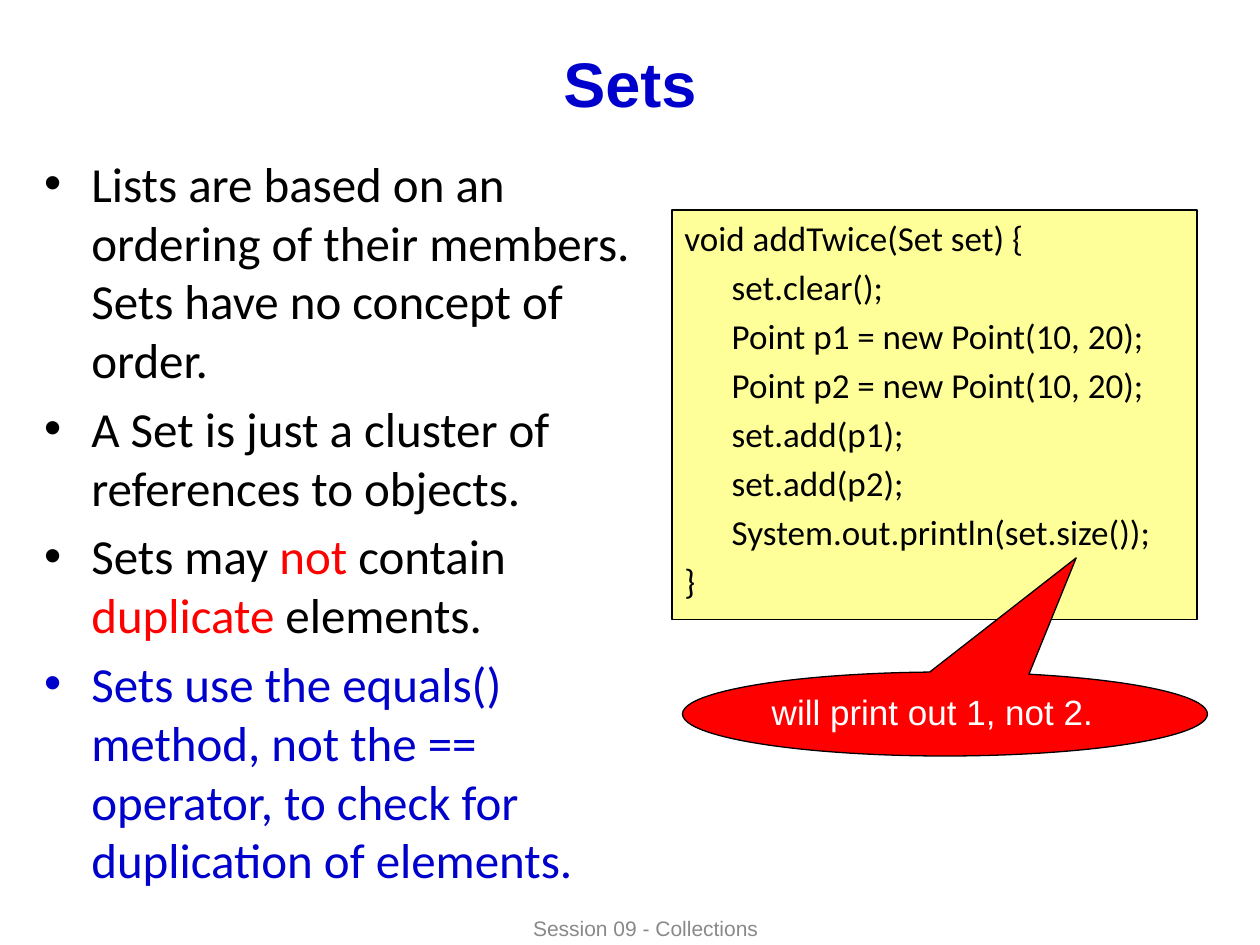
from dataclasses import dataclass

from lxml.etree import SubElement
from pptx import Presentation
from pptx.dml.color import RGBColor
from pptx.enum.shapes import MSO_SHAPE as Preset
from pptx.enum.text import MSO_ANCHOR as Anchor, MSO_AUTO_SIZE as AutoSize, PP_ALIGN as Align
from pptx.oxml.ns import qn
from pptx.util import Pt

BLACK, BLUE, RED, WHITE = "000000", "0000CC", "FF0000", "FFFFFF"
YELLOW, GREY = "FFFF99", "898989"
HANGING = 27


@dataclass(frozen=True)
class Span:
    text: str
    color: str = BLACK


@dataclass(frozen=True)
class Style:
    font: str
    size: float
    bold: bool = False
    align: Align = Align.LEFT
    anchor: Anchor = Anchor.TOP
    space_before: float = 0
    hanging: float = 0
    bullet: str = ""


@dataclass(frozen=True)
class Panel:
    preset: Preset
    box: tuple[float, float, float, float]
    fill: str
    paragraphs: list[list[Span]]
    style: Style
    adjustments: tuple[float, ...] = ()


def rgb(color: str) -> RGBColor:
    return RGBColor.from_string(color)


def place(shape, left: float, top: float, width: float, height: float) -> None:
    shape.left, shape.top, shape.width, shape.height = map(Pt, (left, top, width, height))


def write(shape, paragraphs: list[list[Span]], style: Style) -> None:
    frame = shape.text_frame
    frame.word_wrap = True
    frame.auto_size = AutoSize.NONE
    frame.vertical_anchor = style.anchor
    for index, spans in enumerate(paragraphs):
        paragraph = frame.add_paragraph() if index else frame.paragraphs[0]
        paragraph.alignment = style.align
        paragraph.space_before = Pt(style.space_before)
        # Hanging indent and bullet
        properties = paragraph._p.get_or_add_pPr()
        properties.set("marL", str(Pt(style.hanging)))
        properties.set("indent", str(-Pt(style.hanging)))
        if style.bullet:
            SubElement(properties, qn("a:buFont"), typeface="Arial")
            SubElement(properties, qn("a:buChar"), char=style.bullet)
        else:
            SubElement(properties, qn("a:buNone"))
        for span in spans:
            run = paragraph.add_run()
            run.text = span.text
            run.font.name, run.font.size = style.font, Pt(style.size)
            run.font.bold = style.bold
            run.font.color.rgb = rgb(span.color)


def draw_panel(slide, panel: Panel) -> None:
    shape = slide.shapes.add_shape(panel.preset, *map(Pt, panel.box))
    for index, value in enumerate(panel.adjustments):
        shape.adjustments[index] = value
    shape.shadow.inherit = False
    shape.fill.solid()
    shape.fill.fore_color.rgb = rgb(panel.fill)
    shape.line.color.rgb = rgb(BLACK)
    shape.line.width = Pt(0.75)
    write(shape, panel.paragraphs, panel.style)


deck = Presentation()
deck.slide_width, deck.slide_height = Pt(720), Pt(540)
slide = deck.slides.add_slide(deck.slide_layouts[1])

# Footer
footer = slide.shapes.add_textbox(Pt(192), Pt(520.5), Pt(354), Pt(19.5))
write(footer, [[Span("Session 09 - Collections", GREY)]],
      Style("Arial", 12, align=Align.CENTER, anchor=Anchor.MIDDLE))

# Title
title = slide.shapes.title
place(title, 36, 21.6, 648, 50.4)
write(title, [[Span("Sets", BLUE)]],
      Style("Arial", 36, bold=True, align=Align.CENTER, anchor=Anchor.MIDDLE))

# Properties of sets
points = [
    [Span("Lists are based on an ordering of their members. Sets have no concept of order.")],
    [Span("A Set is just a cluster of references to objects.")],
    [Span("Sets may "), Span("not", RED), Span(" contain "),
     Span("duplicate", RED), Span(" elements.")],
    [Span("Sets use the equals() method, not the == operator, "
          "to check for duplication of elements.", BLUE)],
]
body = slide.placeholders[1]
place(body, 18, 84, 360, 366)
write(body, points, Style("Calibri", 28, space_before=5.6, hanging=HANGING, bullet="•"))

# Code sample and its callout
code = [
    "void addTwice(Set set) {",
    "\tset.clear();",
    "\tPoint p1 = new Point(10, 20);",
    "\tPoint p2 = new Point(10, 20);",
    "\tset.add(p1);",
    "\tset.add(p2);",
    "\tSystem.out.println(set.size());",
    "}",
]
panels = [
    Panel(Preset.RECTANGLE, (384, 120, 300, 234), YELLOW, [[Span(line)] for line in code],
          Style("Calibri", 20, space_before=4, hanging=HANGING)),
    Panel(Preset.OVAL_CALLOUT, (390, 384, 300, 48), RED,
          [[Span("will print out 1, not 2.", WHITE)]], Style("Arial", 20), (0.25, -1.86)),
]
for panel in panels:
    draw_panel(slide, panel)

deck.save("out.pptx")
